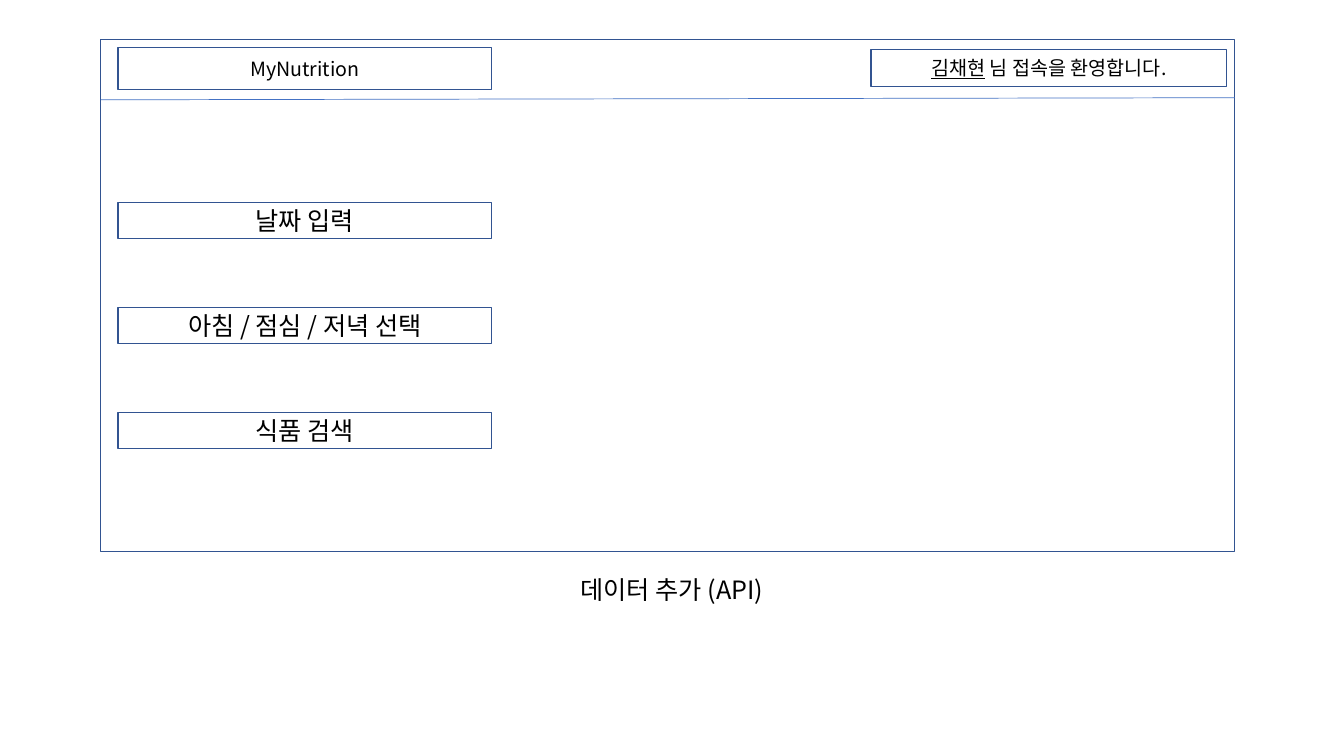
from lxml import etree
from pptx import Presentation
from pptx.dml.color import RGBColor
from pptx.enum.shapes import MSO_CONNECTOR, MSO_SHAPE
from pptx.enum.text import MSO_ANCHOR, MSO_AUTO_SIZE, PP_ALIGN
from pptx.oxml.ns import qn
from pptx.util import Pt

RECTANGLE = MSO_SHAPE.RECTANGLE
STRAIGHT = MSO_CONNECTOR.STRAIGHT
MIDDLE = MSO_ANCHOR.MIDDLE
FIT_SHAPE = MSO_AUTO_SIZE.SHAPE_TO_FIT_TEXT
CENTER = PP_ALIGN.CENTER


def color(hex_string):
    return RGBColor.from_string(hex_string)


class Wireframe:
    font_name = "Noto Sans CJK KR"
    text_color = "000000"
    border_color = "325491"
    divider_color = "4472C4"

    def __init__(self, slide):
        self.slide = slide

    def add_text(self, text_frame, runs, size):
        """Fill a frame with one centred line of (text, underlined) runs."""
        text_frame.word_wrap = True
        paragraph = text_frame.paragraphs[0]
        paragraph.alignment = CENTER
        for text, underlined in runs:
            run = paragraph.add_run()
            run.text = text
            run.font.size = Pt(size)
            run.font.underline = underlined
            run.font.color.rgb = color(self.text_color)
            run.font.name = self.font_name
            east_asian = etree.SubElement(run.font._element, qn("a:ea"))
            east_asian.set("typeface", self.font_name)

    def box(self, left, top, width, height, runs=(), size=18):
        shape = self.slide.shapes.add_shape(
            RECTANGLE, Pt(left), Pt(top), Pt(width), Pt(height))
        shape.shadow.inherit = False
        shape.fill.background()
        shape.line.color.rgb = color(self.border_color)
        shape.line.width = Pt(1)
        shape.text_frame.vertical_anchor = MIDDLE
        self.add_text(shape.text_frame, runs, size)

    def divider(self, start_x, start_y, end_x, end_y):
        connector = self.slide.shapes.add_connector(
            STRAIGHT, Pt(start_x), Pt(start_y), Pt(end_x), Pt(end_y))
        connector.line.color.rgb = color(self.divider_color)
        connector.line.width = Pt(0.5)
        etree.SubElement(connector._element.spPr, qn("a:effectLst"))

    def caption(self, left, top, width, height, text, size=18):
        shape = self.slide.shapes.add_textbox(
            Pt(left), Pt(top), Pt(width), Pt(height))
        self.add_text(shape.text_frame, [(text, False)], size)
        shape.text_frame.auto_size = FIT_SHAPE


def main():
    presentation = Presentation()
    presentation.slide_width = Pt(960)
    presentation.slide_height = Pt(540)
    slide = presentation.slides.add_slide(presentation.slide_layouts[6])
    wireframe = Wireframe(slide)

    # Page frame and header rule
    frame_left, frame_width = 72, 810
    wireframe.box(frame_left, 28.1, frame_width, 365.8)
    wireframe.divider(frame_left, 71.3, frame_left + frame_width, 69.8)

    # Header: site name and greeting
    column_left, column_width = 84.2, 267.1
    wireframe.box(column_left, 33.8, column_width, 30.2,
                  [("MyNutrition", False)], 14)
    wireframe.box(622.1, 35.3, 254.2, 26.6,
                  [("김채현", True), (" 님 접속을 환영합니다.", False)], 14)

    # Input fields at an equal pitch
    fields = ["날짜 입력", "아침 / 점심 / 저녁 선택", "식품 검색"]
    first_top, pitch = 144.7, 74.9
    for index, label in enumerate(fields):
        wireframe.box(column_left, first_top + index * pitch,
                      column_width, 25.9, [(label, False)])

    # Caption under the frame
    wireframe.caption(362.2, 406.8, 235.4, 28.8, "데이터 추가 (API)")

    presentation.save("out.pptx")


if __name__ == "__main__":
    main()
